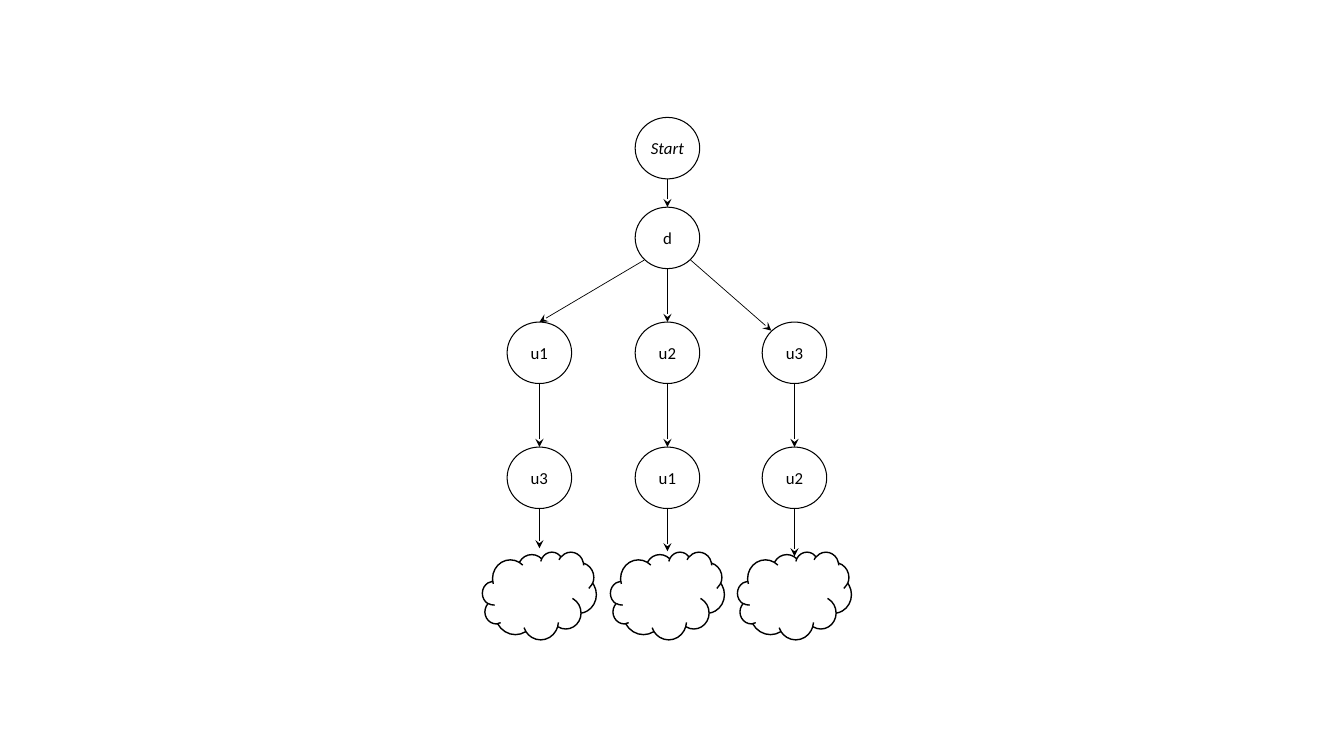
"""Draw a tree of three call orders that each end in a cloud."""
from dataclasses import dataclass

from lxml.etree import SubElement
from pptx import Presentation
from pptx.dml.color import RGBColor
from pptx.enum.shapes import MSO_CONNECTOR, MSO_SHAPE
from pptx.enum.text import MSO_ANCHOR, PP_ALIGN
from pptx.oxml.ns import qn
from pptx.shapes.autoshape import Shape
from pptx.slide import Slide
from pptx.util import Inches, Pt

BLACK = "000000"
WHITE = "FFFFFF"
NODE_WIDTH, NODE_HEIGHT = 0.64, 0.61
CLOUD_WIDTH, CLOUD_HEIGHT = 1.13, 0.87
DIAGONAL_X, DIAGONAL_Y = 0.23, 0.22
COLUMNS = (5.35, 6.62, 7.88)
START_Y, ROOT_Y, FIRST_Y, SECOND_Y, CLOUD_Y = 1.47, 2.36, 3.5, 4.74, 5.91


@dataclass(frozen=True)
class Node:
    label: str
    x: float
    y: float
    italic: bool = False

    @property
    def top(self) -> tuple[float, float]:
        return self.x, self.y - NODE_HEIGHT / 2

    @property
    def bottom(self) -> tuple[float, float]:
        return self.x, self.y + NODE_HEIGHT / 2

    def corner(self, across: int, down: int) -> tuple[float, float]:
        return self.x + across * DIAGONAL_X, self.y + down * DIAGONAL_Y


@dataclass(frozen=True)
class Branch:
    x: float
    first: str
    second: str
    arrow_end: float


@dataclass(frozen=True)
class Arrow:
    start: tuple[float, float]
    end: tuple[float, float]


BRANCHES = (
    Branch(COLUMNS[0], "u1", "u3", 5.44),
    Branch(COLUMNS[1], "u2", "u1", 5.47),
    Branch(COLUMNS[2], "u3", "u2", 5.52),
)


def color(value: str) -> RGBColor:
    return RGBColor.from_string(value)


def add_outline(page: Slide, kind: MSO_SHAPE, x: float, y: float,
                width: float, height: float, weight: float) -> Shape:
    box = page.shapes.add_shape(kind, Inches(x - width / 2), Inches(y - height / 2),
                                Inches(width), Inches(height))
    box.shadow.inherit = False
    box.fill.solid()
    box.fill.fore_color.rgb = color(WHITE)
    box.line.color.rgb = color(BLACK)
    box.line.width = Pt(weight)
    return box


def write_text(box: Shape, text: str, *, size: float = 12, font: str = "Calibri",
               ink: str = BLACK, italic: bool = False) -> None:
    frame = box.text_frame
    frame.margin_left = frame.margin_right = frame.margin_top = frame.margin_bottom = 0
    frame.word_wrap = False
    frame.vertical_anchor = MSO_ANCHOR.MIDDLE
    para = frame.paragraphs[0]
    para.alignment = PP_ALIGN.CENTER
    span = para.add_run()
    span.text = text
    span.font.size = Pt(size)
    span.font.name = font
    span.font.italic = italic
    span.font.color.rgb = color(ink)


def draw_node(page: Slide, node: Node) -> None:
    box = add_outline(page, MSO_SHAPE.OVAL, node.x, node.y, NODE_WIDTH, NODE_HEIGHT, 0.75)
    write_text(box, node.label, italic=node.italic)


def draw_arrow(page: Slide, arrow: Arrow) -> None:
    points = [Inches(value) for value in (*arrow.start, *arrow.end)]
    connector = page.shapes.add_connector(MSO_CONNECTOR.STRAIGHT, *points)
    connector.line.color.rgb = color(BLACK)
    connector.line.width = Pt(0.5)
    SubElement(connector.line._get_or_add_ln(), qn("a:tailEnd"), type="stealth")
    SubElement(connector._element.spPr, qn("a:effectLst"))


def main() -> None:
    deck = Presentation()
    deck.slide_width, deck.slide_height = Inches(13.33), Inches(7.5)
    page = deck.slides.add_slide(deck.slide_layouts[6])

    start = Node("Start", COLUMNS[1], START_Y, italic=True)
    root = Node("d", COLUMNS[1], ROOT_Y)
    firsts = [Node(branch.first, branch.x, FIRST_Y) for branch in BRANCHES]
    seconds = [Node(branch.second, branch.x, SECOND_Y) for branch in BRANCHES]
    arrows = [
        Arrow(start.bottom, root.top),
        Arrow(root.corner(-1, 1), firsts[0].top),
        Arrow(root.bottom, firsts[1].top),
        Arrow(root.corner(1, 1), firsts[2].corner(-1, -1)),
    ]
    for branch, first, second in zip(BRANCHES, firsts, seconds):
        arrows.append(Arrow(first.bottom, second.top))
        arrows.append(Arrow(second.bottom, (branch.x, branch.arrow_end)))

    for node in (start, root, *firsts, *seconds):
        draw_node(page, node)
    for arrow in arrows:
        draw_arrow(page, arrow)
    for branch in BRANCHES:
        add_outline(page, MSO_SHAPE.CLOUD, branch.x, CLOUD_Y, CLOUD_WIDTH, CLOUD_HEIGHT, 1)

    deck.save("out.pptx")


if __name__ == "__main__":
    main()
